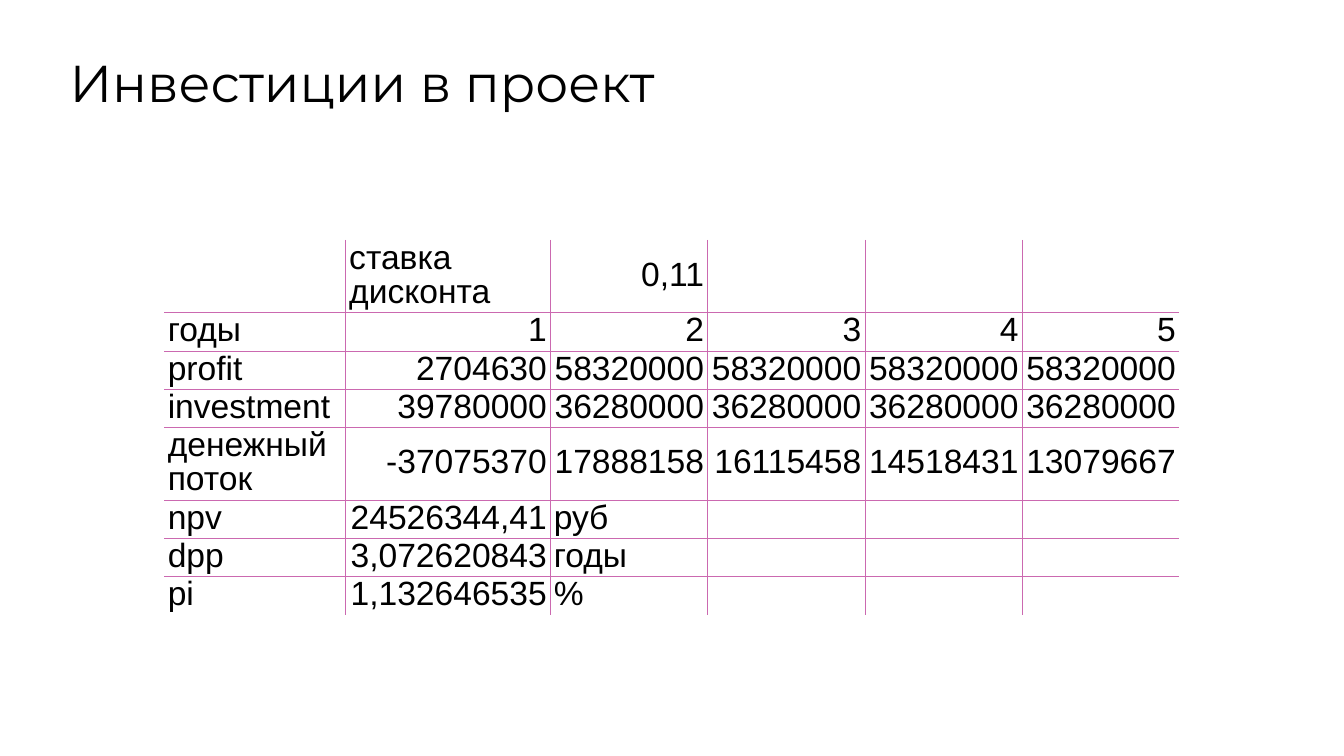
from typing import NamedTuple

from lxml.etree import SubElement
from pptx import Presentation
from pptx.dml.color import RGBColor
from pptx.enum.text import MSO_ANCHOR as Anchor, MSO_AUTO_SIZE as AutoSize, PP_ALIGN as Align
from pptx.oxml.ns import qn
from pptx.util import Pt

BLACK, PINK = "000000", "CB69B0"


class Row(NamedTuple):
    height: float
    texts: tuple[str, ...]


COL_WIDTHS = (259.2, 292.3) + (224.64,) * 4
SINGLE, DOUBLE = 54.6, 104
ROWS = (
    Row(DOUBLE, ("", "ставка дисконта", "0,11")),
    Row(SINGLE, ("годы", "1", "2", "3", "4", "5")),
    Row(SINGLE, ("profit", "2704630") + ("58320000",) * 4),
    Row(SINGLE, ("investment", "39780000") + ("36280000",) * 4),
    Row(DOUBLE, ("денежный поток", "-37075370", "17888158", "16115458",
                 "14518431", "13079667")),
    Row(SINGLE, ("npv", "24526344,41", "руб")),
    Row(SINGLE, ("dpp", "3,072620843", "годы")),
    Row(SINGLE, ("pi", "1,132646535", "%")),
)


def rgb(value: str) -> RGBColor:
    return RGBColor.from_string(value)


def format_text(p, font: str, size: float, spacing: float, align: Align) -> None:
    p.alignment = align
    p.line_spacing = spacing
    for r in p.runs:
        r.font.name = font
        r.font.size = Pt(size)
        r.font.bold = False
        r.font.color.rgb = rgb(BLACK)


def set_border(cell, side: str, visible: bool) -> None:
    ln = SubElement(cell._tc.get_or_add_tcPr(), qn(f"a:ln{side}"), w=str(Pt(1)))
    if visible:
        fill = SubElement(ln, qn("a:solidFill"))
        SubElement(fill, qn("a:srgbClr"), val=PINK)
    else:
        SubElement(ln, qn("a:noFill"))


def fill_cell(cell, text: str) -> None:
    cell.vertical_anchor = Anchor.MIDDLE
    cell.margin_left = cell.margin_right = Pt(5)
    cell.margin_top = cell.margin_bottom = Pt(0)
    if text:
        p = cell.text_frame.paragraphs[0]
        p.text = text
        is_number = text[-1].isdigit()
        format_text(p, "Arial", 48, 0.9, Align.RIGHT if is_number else Align.LEFT)
        p.space_before = Pt(45)


def add_investment_table(s, left: float, top: float) -> None:
    n_rows, n_cols = len(ROWS), len(COL_WIDTHS)
    table = s.shapes.add_table(
        n_rows, n_cols, Pt(left), Pt(top),
        Pt(sum(COL_WIDTHS)), Pt(sum(row.height for row in ROWS))).table
    table.first_row = table.horz_banding = False
    for column, width in zip(table.columns, COL_WIDTHS):
        column.width = Pt(width)
    for i, row in enumerate(ROWS):
        table.rows[i].height = Pt(row.height)
        for j in range(n_cols):
            cell = table.cell(i, j)
            fill_cell(cell, row.texts[j] if j < len(row.texts) else "")
            # Only the inner grid lines are visible
            inner = {"L": j > 0, "R": j < n_cols - 1, "T": i > 0, "B": i < n_rows - 1}
            for side, visible in inner.items():
                set_border(cell, side, visible)
            cell.fill.background()


def add_title(s, text: str) -> None:
    sp = s.shapes.title
    sp.left, sp.top, sp.width, sp.height = Pt(95), Pt(85), Pt(1730), Pt(113)
    tf = sp.text_frame
    tf.text = text
    tf.word_wrap = True
    tf.auto_size = AutoSize.NONE
    tf.vertical_anchor = Anchor.TOP
    tf.margin_left = tf.margin_right = tf.margin_top = tf.margin_bottom = Pt(4.3)
    format_text(tf.paragraphs[0], "Montserrat", 74, 0.8, Align.LEFT)


def main() -> None:
    prs = Presentation()
    prs.slide_width, prs.slide_height = Pt(1920), Pt(1080)
    s = prs.slides.add_slide(prs.slide_layouts[5])
    add_title(s, "Инвестиции в проект")
    add_investment_table(s, 234.7, 342.7)
    prs.save("out.pptx")


if __name__ == "__main__":
    main()
